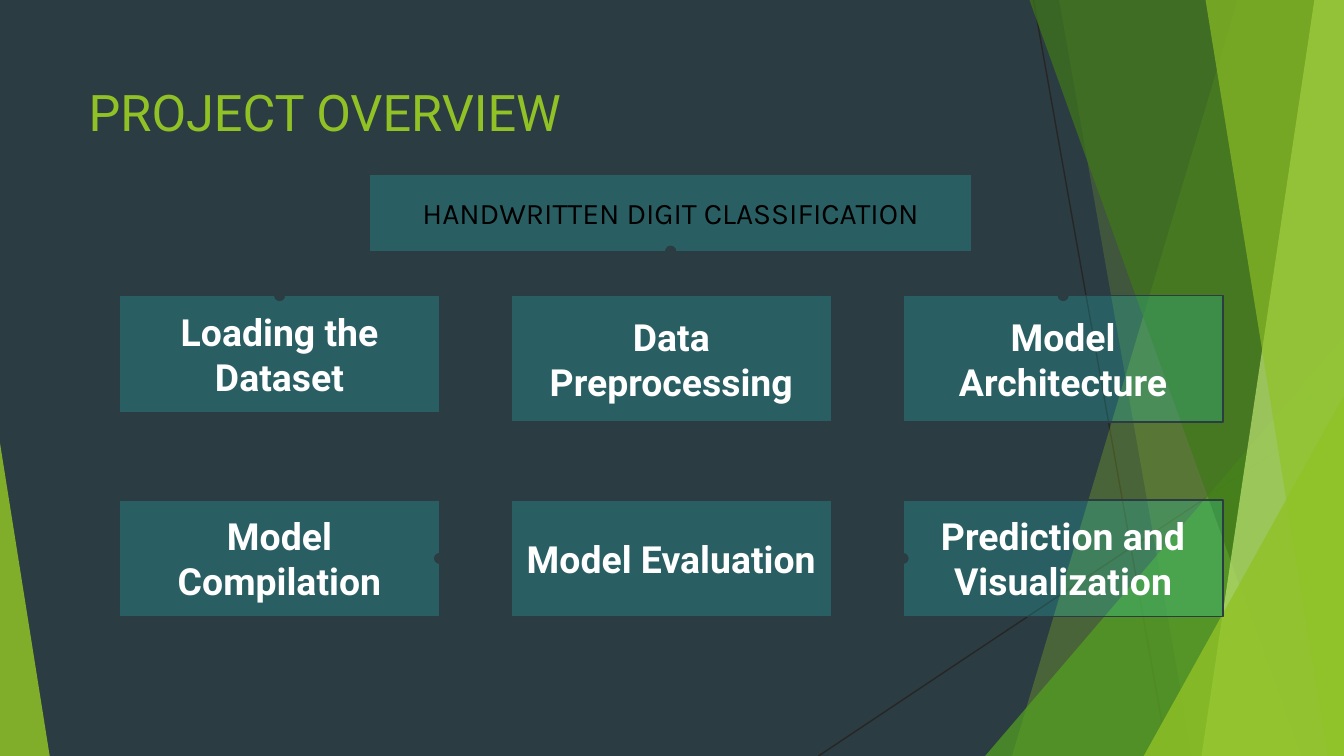
from collections import namedtuple

from lxml.etree import SubElement
from pptx import Presentation
from pptx.dml.color import RGBColor
from pptx.enum.shapes import MSO_CONNECTOR as CONN, MSO_SHAPE as SHAPE
from pptx.enum.text import MSO_ANCHOR as ANCHOR, PP_ALIGN as ALIGN
from pptx.oxml.ns import qn
from pptx.util import Inches, Pt

Box = namedtuple("Box", "x y w h")

SLIDE = Box(0, 0, 10, 10 * 9 / 16)
DARK = RGBColor(0x2C, 0x3C, 0x43)
INK = RGBColor(0x26, 0x26, 0x26)
BLACK = RGBColor(0, 0, 0)
WHITE = RGBColor(0xFF, 0xFF, 0xFF)
TEAL = RGBColor(0x21, 0xDF, 0xD8)
LIME = RGBColor(0x90, 0xC2, 0x26)
PALE = RGBColor(0xC0, 0xE4, 0x74)
GREEN = RGBColor(0x54, 0xA0, 0x21)
FOREST = RGBColor(0x3F, 0x78, 0x19)

STEPS = [
    [("Loading the Dataset", 0.87), ("Data Preprocessing", 0.94), ("Model Architecture", 0.94)],
    [("Model Compilation", 0.87), ("Model Evaluation", 0.87), ("Prediction and Visualization", 0.87)],
]


def set_fill(sp, color, alpha):
    """Fill a shape with a colour at the given opacity in percent."""
    sp.shadow.inherit = False
    sp.fill.solid()
    sp.fill.fore_color.rgb = color
    clr = sp._element.spPr.find(qn("a:solidFill"))[0]
    SubElement(clr, qn("a:alpha")).set("val", str(alpha * 1000))


def write(tf, text, font="Roboto", size=20, color=WHITE, bold=False,
          align=ALIGN.CENTER, anchor=ANCHOR.MIDDLE):
    """Write one formatted paragraph into a text frame."""
    tf.word_wrap = True
    tf.vertical_anchor = anchor
    tf.margin_left = tf.margin_right = tf.margin_top = tf.margin_bottom = Inches(0.1)
    p = tf.paragraphs[0]
    p.alignment = align
    r = p.add_run()
    r.text = text
    r.font.name, r.font.size, r.font.bold = font, Pt(size), bold
    r.font.color.rgb = color


def add_line(slide, kind, x1, y1, x2, y2, color):
    """Add a thin connector without a shadow."""
    cx = slide.shapes.add_connector(kind, *map(Inches, (x1, y1, x2, y2)))
    cx.line.color.rgb = color
    cx.line.width = Pt(0.75)
    SubElement(cx._element.spPr, qn("a:effectLst"))
    return cx


def add_elbow(slide, start, end, preset):
    """Add a dot-ended elbow that leaves its start point downwards."""
    (x1, y1), (x2, y2) = start, end
    w, h = y2 - y1, abs(x2 - x1)
    left, top = (x1 + x2 - w) / 2, (y1 + y2 - h) / 2
    cx = add_line(slide, CONN.ELBOW, left, top, left + w, top + h, DARK)
    spPr = cx._element.spPr
    xfrm = spPr.find(qn("a:xfrm"))
    if x2 < x1:
        xfrm.set("rot", str(90 * 60000))
    else:
        xfrm.set("rot", str(270 * 60000))
        xfrm.set("flipH", "1")
    spPr.find(qn("a:prstGeom")).set("prst", preset)
    for tag in ("a:headEnd", "a:tailEnd"):
        SubElement(spPr.find(qn("a:ln")), qn(tag)).set("type", "oval")


def add_band(slide, box, top_x, bottom_x, color, alpha):
    """Add a slanted band that reaches the right edge of the box."""
    right, bottom = box.x + box.w, box.y + box.h
    pts = [(top_x, box.y), (right, box.y), (right, bottom), (bottom_x, bottom)]
    pts = [(Inches(x), Inches(y)) for x, y in pts]
    fb = slide.shapes.build_freeform(*pts[0])
    fb.add_line_segments(pts[1:], close=True)
    sp = fb.convert_to_shape()
    set_fill(sp, color, alpha)
    sp.line.fill.background()


def add_wedge(slide, box, apex, color, alpha):
    """Add a right triangle with its apex at a share of the width."""
    sp = slide.shapes.add_shape(SHAPE.ISOSCELES_TRIANGLE, *map(Inches, box))
    sp.adjustments[0] = apex
    set_fill(sp, color, alpha)
    sp.line.fill.background()


def add_facets(slide, box):
    """Draw the green facets along the sides of the box."""
    right, bottom = box.x + box.w, box.y + box.h
    add_line(slide, CONN.STRAIGHT, 7.69, box.y, 8.69, bottom, INK)
    add_line(slide, CONN.STRAIGHT, right, 3.02, 6.09, bottom, INK)
    add_band(slide, box, 9.21, 7.53, LIME, 30)
    add_band(slide, box, 7.88, 8.87, LIME, 20)
    add_wedge(slide, Box(right - 2.67, bottom - 3.12, 2.67, 3.12), 1, GREEN, 72)
    add_band(slide, box, 7.66, 9.68, FOREST, 70)
    add_band(slide, box, 9.78, 8.94, PALE, 70)
    add_band(slide, box, 8.97, 9.88, LIME, 65)
    add_wedge(slide, Box(right - 1.49, bottom - 2.68, 1.49, 2.68), 1, LIME, 80)
    add_wedge(slide, Box(box.x, bottom - 2.33, 0.37, 2.33), 0, LIME, 85)


def add_title(slide, box, text):
    """Place the title placeholder in the box."""
    sp = slide.shapes.title
    sp.left, sp.top, sp.width, sp.height = map(Inches, box)
    write(sp.text_frame, text, size=27, color=LIME, align=ALIGN.LEFT, anchor=ANCHOR.TOP)


def add_card(slide, box, text, **fmt):
    """Add a translucent labelled rectangle."""
    sp = slide.shapes.add_shape(SHAPE.RECTANGLE, *map(Inches, box))
    set_fill(sp, TEAL, 22)
    sp.line.color.rgb = DARK
    sp.line.width = Pt(0.75)
    write(sp.text_frame, text, **fmt)


def add_diagram(slide, box):
    """Draw the project heading, its grid of steps and their links."""
    root = Box(box.x + 1.86, box.y, 4.48, 0.57)
    add_card(slide, root, "HANDWRITTEN DIGIT CLASSIFICATION", font="Karla", size=16, color=BLACK)
    card_w, row_pitch = 2.38, 1.52
    col_pitch = (box.w - card_w) / 2
    grid = [[Box(box.x + c * col_pitch, box.y + 0.9 + r * row_pitch, card_w, h)
             for c, (_, h) in enumerate(row)] for r, row in enumerate(STEPS)]
    for boxes, row in zip(grid, STEPS):
        for cell, (text, _) in zip(boxes, row):
            add_card(slide, cell, text, bold=True)
    hub = (root.x + root.w / 2, root.y + root.h)
    for cell in (grid[0][0], grid[0][2]):
        add_elbow(slide, hub, (cell.x + cell.w / 2, cell.y), "bentConnector3")
    first, _, last = grid[1]
    rail = (hub[1] + grid[0][0].y) / 2
    for edge, gap in ((first.x + first.w, 0.35), (last.x, -0.3)):
        add_elbow(slide, (edge + gap, rail), (edge, first.y + first.h / 2), "bentConnector2")


def main():
    """Build and save the project overview slide."""
    prs = Presentation()
    prs.slide_width, prs.slide_height = Inches(SLIDE.w), Inches(SLIDE.h)
    slide = prs.slides.add_slide(prs.slide_layouts[5])
    slide.background.fill.solid()
    slide.background.fill.fore_color.rgb = DARK
    add_facets(slide, SLIDE)
    add_title(slide, Box(0.56, 0.5, 7.05, 1.08), "PROJECT OVERVIEW")
    add_diagram(slide, Box(0.89, 1.3, 8.21, 3.29))
    prs.save("out.pptx")


if __name__ == "__main__":
    main()
